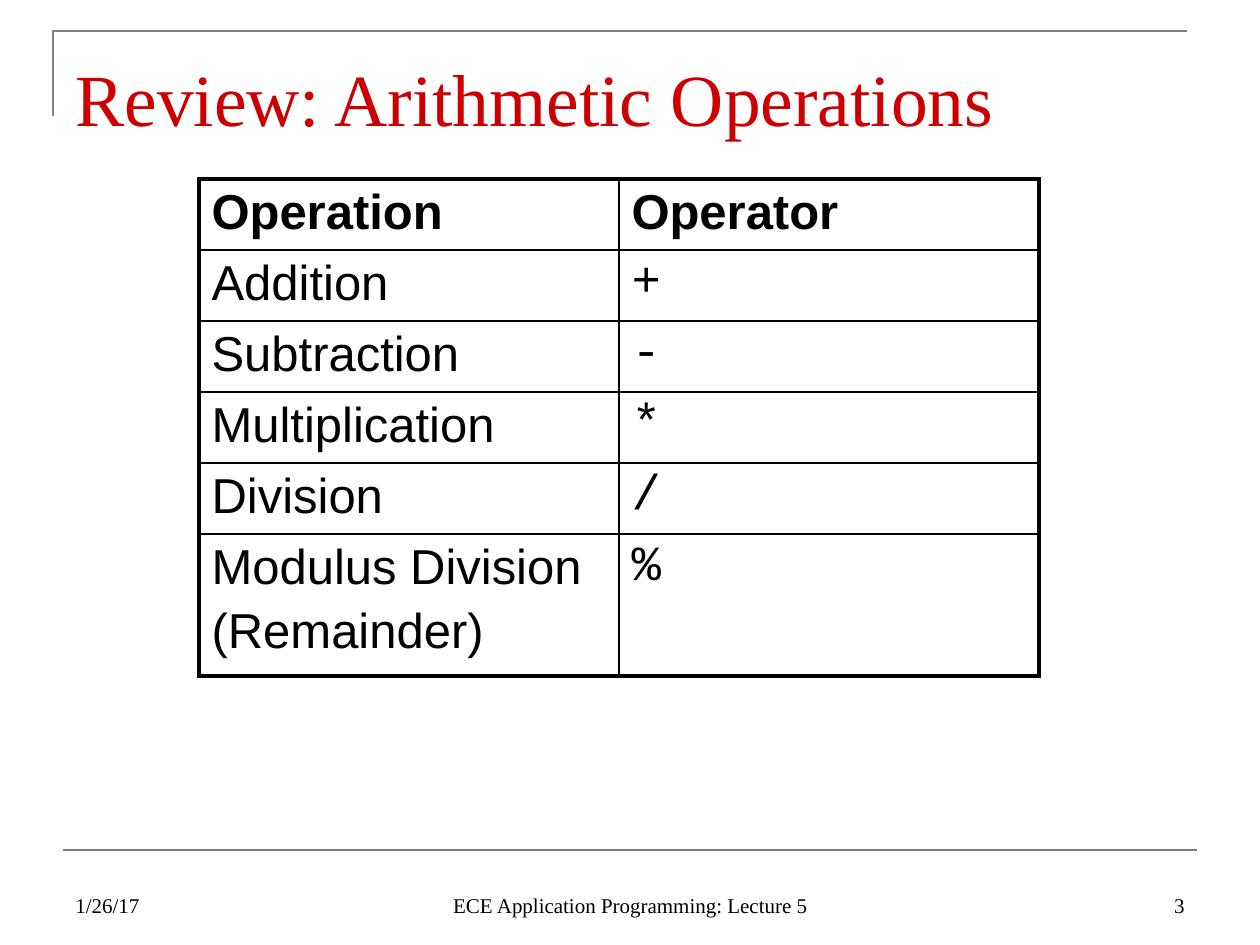
"""Build a slide reviewing the arithmetic operators."""
from dataclasses import dataclass

from lxml.etree import SubElement
from pptx import Presentation
from pptx.dml.color import RGBColor
from pptx.enum.shapes import MSO_CONNECTOR
from pptx.enum.text import MSO_ANCHOR, MSO_AUTO_SIZE, PP_ALIGN
from pptx.oxml.ns import qn
from pptx.util import Emu, Pt


@dataclass(frozen=True)
class Theme:
    title: RGBColor = RGBColor(0xCC, 0x00, 0x00)
    text: RGBColor = RGBColor(0x00, 0x00, 0x00)
    rule: RGBColor = RGBColor(0x80, 0x80, 0x80)
    border: str = "000000"
    serif: str = "Times New Roman"
    sans: str = "Arial"
    mono: str = "Courier New"
    title_size: int = 42
    table_size: int = 28
    footer_size: int = 12
    rule_width: float = 1.5
    outer_width: float = 2.25
    inner_width: float = 1


theme = Theme()
SCALE = 914400 / 126


def px(n):
    return Emu(round(n * SCALE))


def add_run(p, text, font, size, color, bold=False):
    r = p.add_run()
    r.text = text
    r.font.name = font
    r.font.size = Pt(size)
    r.font.bold = bold
    r.font.color.rgb = color


prs = Presentation()
prs.slide_width, prs.slide_height = px(1260), px(945)
s = prs.slides.add_slide(prs.slide_layouts[5])

builder = s.shapes.build_freeform(53, 116, scale=SCALE)
builder.add_line_segments([(53, 31), (1187, 31)], close=False)
corner = builder.convert_to_shape()
corner.shadow.inherit = False
corner.fill.background()
base = s.shapes.add_connector(
    MSO_CONNECTOR.STRAIGHT, px(63), px(850), px(1197), px(850))
SubElement(base._element.spPr, qn("a:effectLst"))
for sp in (corner, base):
    sp.line.color.rgb = theme.rule
    sp.line.width = Pt(theme.rule_width)

title = s.shapes.title
title.left, title.top, title.width, title.height = px(63), px(38), px(1134), px(98)
tf = title.text_frame
tf.auto_size = MSO_AUTO_SIZE.NONE
tf.vertical_anchor = MSO_ANCHOR.TOP
tf.margin_top, tf.margin_bottom = px(15), px(0)
p = tf.paragraphs[0]
p.alignment = PP_ALIGN.LEFT
add_run(p, "Review: Arithmetic Operations", theme.serif, theme.title_size, theme.title)

operations = [
    (["Operation"], "Operator"),
    (["Addition"], "+"),
    (["Subtraction"], "-"),
    (["Multiplication"], "*"),
    (["Division"], "/"),
    (["Modulus Division", "(Remainder)"], "%"),
]
last = len(operations) - 1
table = s.shapes.add_table(
    len(operations), 2, px(199), px(179), px(840), px(498)).table
table.first_row = table.horz_banding = False
for i, (names, operator) in enumerate(operations):
    table.rows[i].height = px(71 * len(names))
    for j, lines in enumerate((names, [operator])):
        cell = table.cell(i, j)
        outer = {"lnL": j == 0, "lnR": j == 1, "lnT": i == 0, "lnB": i == last}
        tcPr = cell._tc.get_or_add_tcPr()
        for side, is_outer in outer.items():
            width = theme.outer_width if is_outer else theme.inner_width
            ln = SubElement(tcPr, qn(f"a:{side}"), w=str(Pt(width)))
            fill = SubElement(ln, qn("a:solidFill"))
            SubElement(fill, qn("a:srgbClr"), val=theme.border)
        cell.fill.background()
        tf = cell.text_frame
        font = theme.mono if i and j else theme.sans
        for k, line in enumerate(lines):
            p = tf.add_paragraph() if k else tf.paragraphs[0]
            if k:
                p.space_before = Pt(theme.table_size * 0.2)
            add_run(p, line, font, theme.table_size, theme.text, bold=i == 0)

footers = [
    (63, 294, PP_ALIGN.LEFT, "1/26/17"),
    (431, 399, PP_ALIGN.CENTER, "ECE Application Programming: Lecture 5"),
    (903, 294, PP_ALIGN.RIGHT, "3"),
]
for left, width, align, text in footers:
    tf = s.shapes.add_textbox(px(left), px(861), px(width), px(63)).text_frame
    tf.word_wrap = True
    tf.vertical_anchor = MSO_ANCHOR.BOTTOM
    p = tf.paragraphs[0]
    p.alignment = align
    add_run(p, text, theme.serif, theme.footer_size, theme.text)

prs.save("out.pptx")
